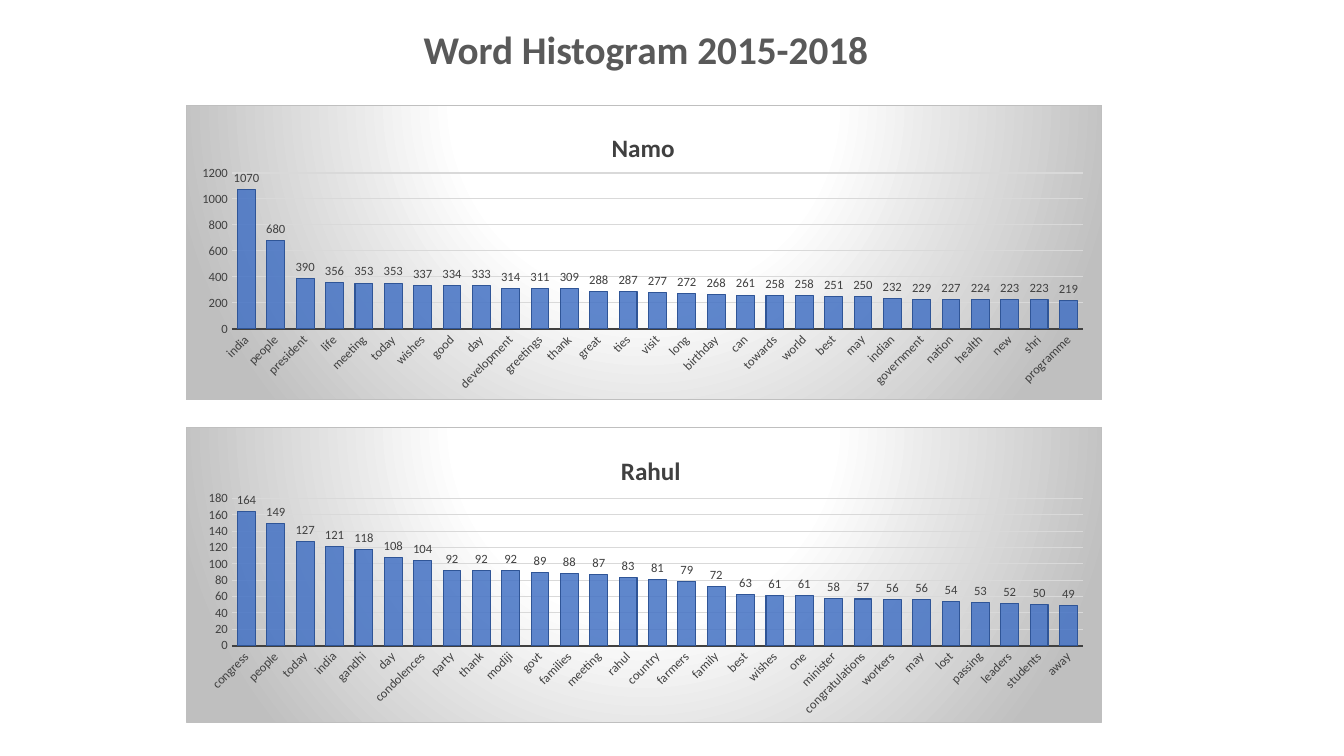
import lxml.etree
import pptx
import pptx.chart.data
import pptx.dml.color
import pptx.enum.chart
import pptx.enum.text
import pptx.oxml
import pptx.oxml.ns
import pptx.util

Inches = pptx.util.Inches
Pt = pptx.util.Pt
qn = pptx.oxml.ns.qn
FONT = "Calibri"

NAMO = [
    ("india", 1070), ("people", 680), ("president", 390), ("life", 356),
    ("meeting", 353), ("today", 353), ("wishes", 337), ("good", 334),
    ("day", 333), ("development", 314), ("greetings", 311), ("thank", 309),
    ("great", 288), ("ties", 287), ("visit", 277), ("long", 272),
    ("birthday", 268), ("can", 261), ("towards", 258), ("world", 258),
    ("best", 251), ("may", 250), ("indian", 232), ("government", 229),
    ("nation", 227), ("health", 224), ("new", 223), ("shri", 223),
    ("programme", 219),
]
RAHUL = [
    ("congress", 164), ("people", 149), ("today", 127), ("india", 121),
    ("gandhi", 118), ("day", 108), ("condolences", 104), ("party", 92),
    ("thank", 92), ("modiji", 92), ("govt", 89), ("families", 88),
    ("meeting", 87), ("rahul", 83), ("country", 81), ("farmers", 79),
    ("family", 72), ("best", 63), ("wishes", 61), ("one", 61),
    ("minister", 58), ("congratulations", 57), ("workers", 56), ("may", 56),
    ("lost", 54), ("passing", 53), ("leaders", 52), ("students", 50),
    ("away", 49),
]


def color(value):
    """Return the colour for a hex string."""
    return pptx.dml.color.RGBColor.from_string(value)


def set_font(font, size, value, bold=False):
    """Give a font its name, size, colour and weight."""
    font.name = FONT
    font.size = Pt(size)
    font.bold = bold
    font.color.rgb = color(value)


def set_line(line, value, width):
    """Give a line its colour and width in points."""
    line.color.rgb = color(value)
    line.width = Pt(width)


def place_part(parent, position, **fractions):
    """Place a chart part by fractions of the chart's size."""
    for old in parent.findall(qn("c:layout")):
        parent.remove(old)
    layout = lxml.etree.Element(qn("c:layout"))
    manual = lxml.etree.SubElement(layout, qn("c:manualLayout"))
    if "w" in fractions:
        lxml.etree.SubElement(manual, qn("c:layoutTarget")).set("val", "inner")
    for name in ("xMode", "yMode"):
        lxml.etree.SubElement(manual, qn("c:" + name)).set("val", "edge")
    for name, fraction in fractions.items():
        lxml.etree.SubElement(manual, qn("c:" + name)).set("val", str(fraction))
    parent.insert(position, layout)


def add_backdrop(chart):
    """Fill the chart area with a round white to grey gradient and a border."""
    stops = "".join(
        f'<a:gs pos="{position}"><a:srgbClr val="{value}"/></a:gs>'
        for position, value in ((0, "FFFFFF"), (39000, "FFFFFF"), (100000, "BFBFBF"))
    )
    backdrop = pptx.oxml.parse_xml(
        f'<c:spPr {pptx.oxml.ns.nsdecls("c", "a")}>'
        f'<a:gradFill><a:gsLst>{stops}</a:gsLst><a:path path="circle">'
        '<a:fillToRect l="50000" t="-80000" r="50000" b="180000"/></a:path></a:gradFill>'
        '<a:ln w="9525"><a:solidFill><a:srgbClr val="BFBFBF"/></a:solidFill></a:ln>'
        "</c:spPr>"
    )
    chart.element.find(qn("c:chart")).addnext(backdrop)


def style_axes(chart, top, step):
    """Style the word axis and the count axis."""
    words, counts = chart.category_axis, chart.value_axis
    for axis in (words, counts):
        axis.major_tick_mark = pptx.enum.chart.XL_TICK_MARK.NONE
        axis.minor_tick_mark = pptx.enum.chart.XL_TICK_MARK.NONE
        set_font(axis.tick_labels.font, 9, "404040")
    words._element.find(qn("c:txPr")).find(qn("a:bodyPr")).set("rot", "-2700000")
    set_line(words.format.line, "404040", 1.5)
    counts.format.line.fill.background()
    counts.minimum_scale = 0
    counts.maximum_scale = top
    counts.major_unit = step
    set_line(counts.major_gridlines.format.line, "D9D9D9", 0.75)


def style_columns(plot):
    """Style the columns and their value labels."""
    plot.gap_width = 65
    plot.vary_by_categories = False
    columns = plot.series[0].format
    columns.fill.solid()
    columns.fill.fore_color.rgb = color("4472C4")
    tint = next(plot.series[0]._element.iter(qn("a:srgbClr")))
    lxml.etree.SubElement(tint, qn("a:alpha")).set("val", "85000")
    set_line(columns.line, "2F5597", 0.75)
    plot.has_data_labels = True
    labels = plot.data_labels
    labels.show_value = True
    labels.position = pptx.enum.chart.XL_LABEL_POSITION.OUTSIDE_END
    set_font(labels.font, 9, "404040")


def add_histogram(slide, box, name, counts, scale, title_left, plot_area):
    """Add one word histogram in the given box."""
    data = pptx.chart.data.CategoryChartData()
    data.categories = [word for word, count in counts]
    data.add_series("Series 1", [count for word, count in counts])
    kind = pptx.enum.chart.XL_CHART_TYPE.COLUMN_CLUSTERED
    chart = slide.shapes.add_chart(kind, *map(Inches, box), data).chart
    set_font(chart.font, 10, "000000")
    chart.has_legend = False
    chart.has_title = True
    span = chart.chart_title.text_frame.paragraphs[0].add_run()
    span.text = name
    set_font(span.font, 18, "404040", bold=True)
    place_part(chart.chart_title._element, 1, x=title_left, y=0.07)
    left, top, width, height = plot_area
    plot_element = chart.element.find(qn("c:chart")).find(qn("c:plotArea"))
    place_part(plot_element, 0, x=left, y=top, w=width, h=height)
    style_axes(chart, *scale)
    style_columns(chart.plots[0])
    add_backdrop(chart)


def add_heading(slide, box, text):
    """Add the slide heading in the given box."""
    frame = slide.shapes.add_textbox(*map(Inches, box)).text_frame
    frame.word_wrap = True
    para = frame.paragraphs[0]
    para.alignment = pptx.enum.text.PP_ALIGN.CENTER
    para.line_spacing = 0.7
    para.space_before = Pt(10)
    span = para.add_run()
    span.text = text
    set_font(span.font, 28, "595959", bold=True)


def main():
    """Build the slide and save it."""
    deck = pptx.Presentation()
    deck.slide_width = Inches(13.33)
    deck.slide_height = Inches(7.5)
    page = deck.slides.add_slide(deck.slide_layouts[6])
    add_heading(page, (3.75, 0.33, 5.31, 0.56), "Word Histogram 2015-2018")
    histograms = [
        ("Namo", NAMO, (1200, 200), 0.46, (0.05, 0.23, 0.93, 0.53)),
        ("Rahul", RAHUL, (180, 20), 0.47, (0.05, 0.24, 0.93, 0.5)),
    ]
    for row, histogram in enumerate(histograms):
        add_histogram(page, (1.84, 1.04 + 3.2 * row, 9.09, 2.93), *histogram)
    deck.save("out.pptx")


if __name__ == "__main__":
    main()
